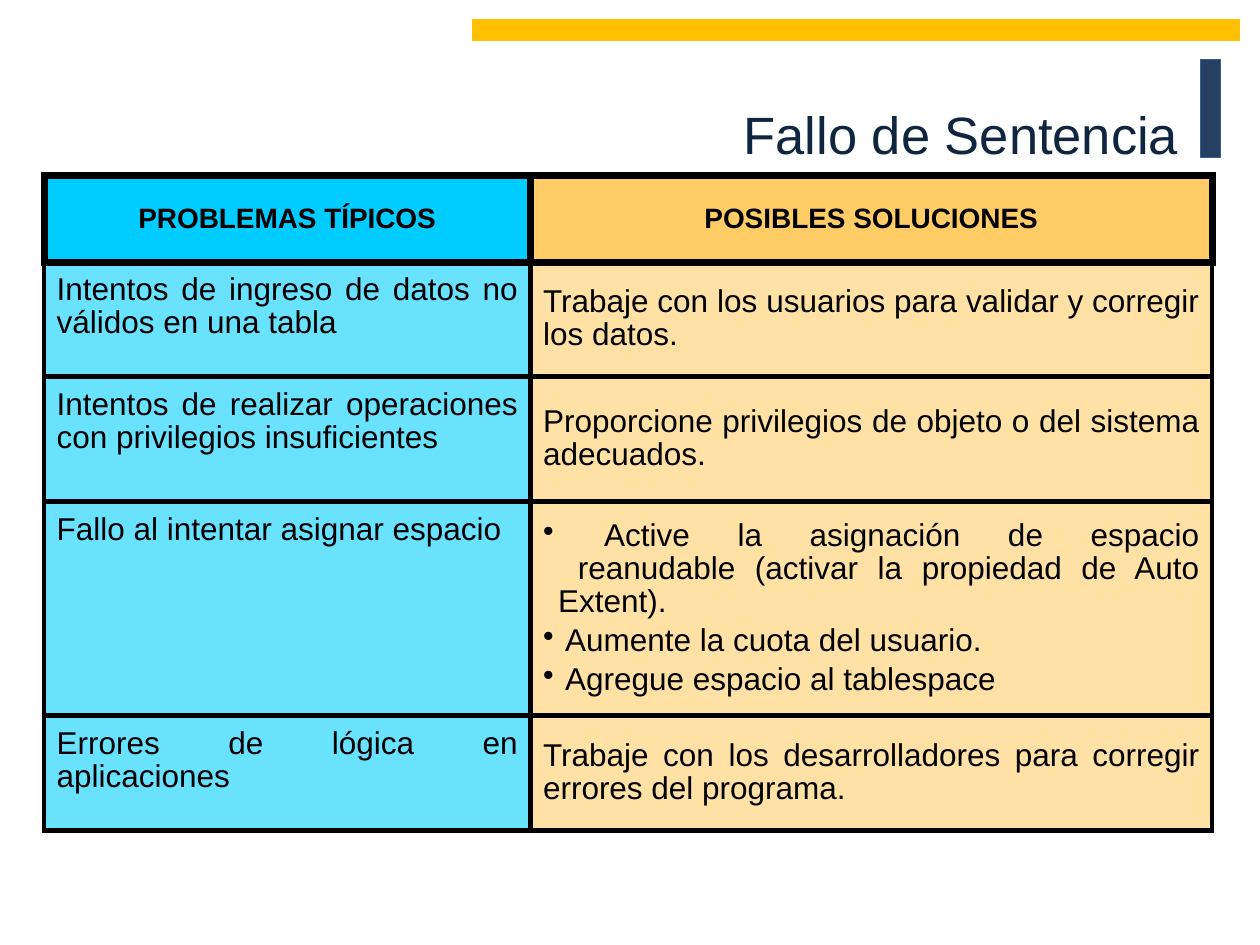
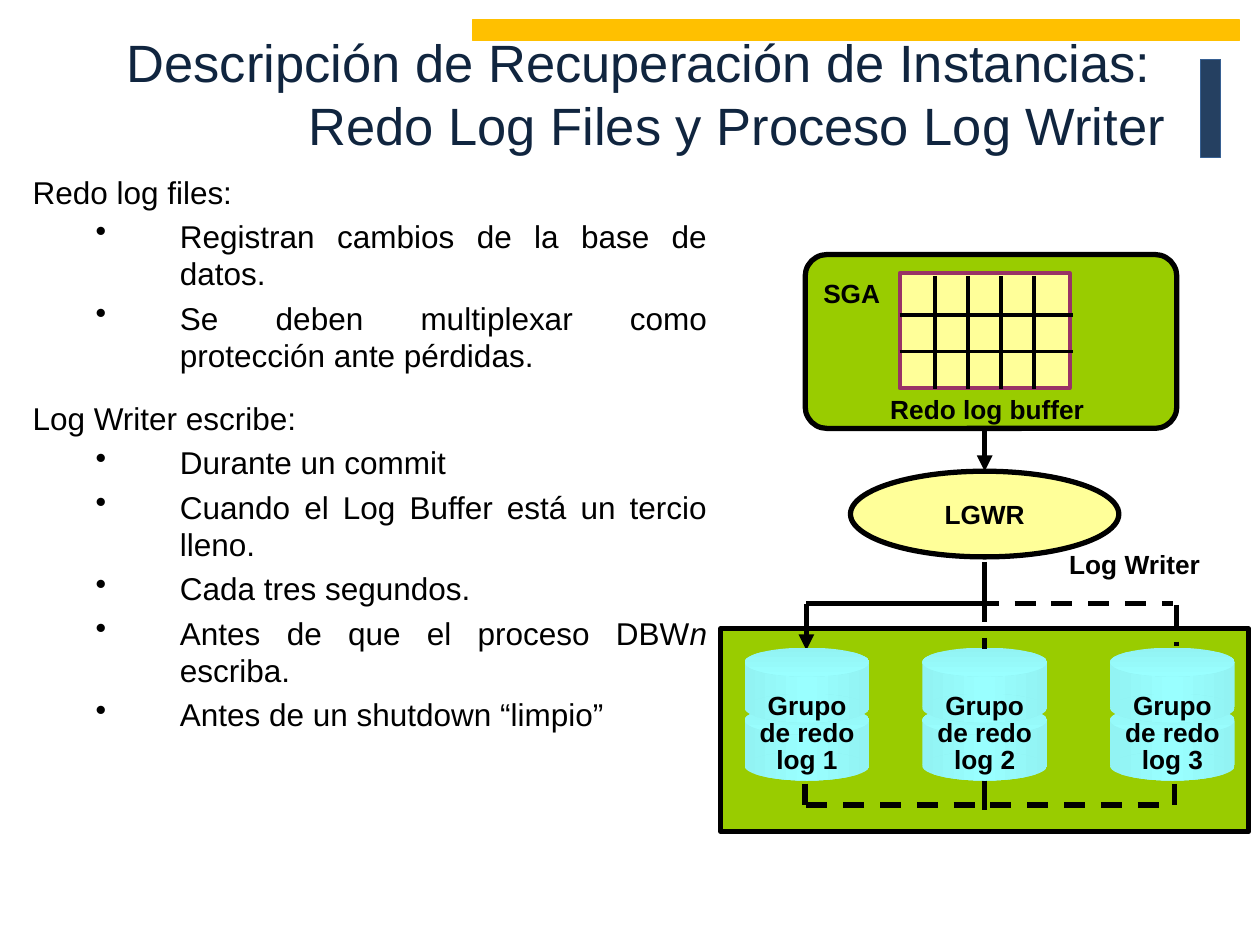
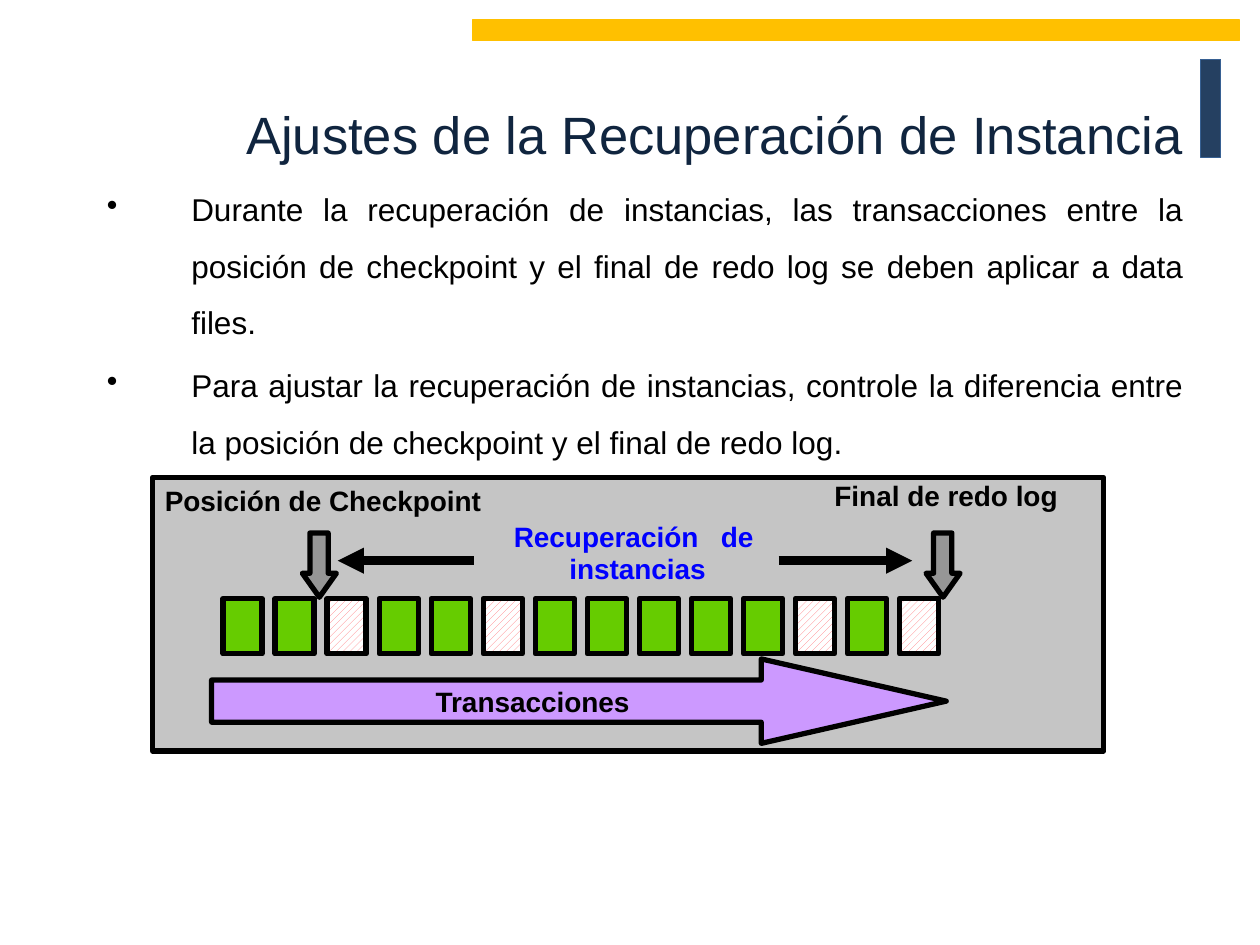
import copy
from dataclasses import dataclass
from typing import Any, NamedTuple

import lxml.etree
import pptx
import pptx.dml.color
import pptx.dml.line
import pptx.enum.dml
import pptx.enum.shapes
import pptx.enum.text
import pptx.oxml.ns
import pptx.shapes.autoshape
import pptx.shapes.connector
import pptx.shapes.shapetree
import pptx.slide
import pptx.text.text
import pptx.util

RGB = pptx.dml.color.RGBColor
Shape = pptx.shapes.autoshape.Shape
Link = pptx.shapes.connector.Connector
Tree = pptx.shapes.shapetree._BaseGroupShapes
Frame = pptx.text.text.TextFrame
Pt = pptx.util.Pt
qn = pptx.oxml.ns.qn
KIND = pptx.enum.shapes.MSO_SHAPE
ALIGN = pptx.enum.text.PP_ALIGN
ANCHOR = pptx.enum.text.MSO_ANCHOR
FIT = pptx.enum.text.MSO_AUTO_SIZE

BLACK = RGB(0x00, 0x00, 0x00)
WHITE = RGB(0xFF, 0xFF, 0xFF)
INK = RGB(0x10, 0x25, 0x3F)
NAVY = RGB(0x25, 0x40, 0x61)
STEEL = RGB(0x37, 0x60, 0x92)
AMBER = RGB(0xFF, 0xC0, 0x00)
CYAN = RGB(0x00, 0xCC, 0xFF)
SKY = RGB(0x69, 0xE2, 0xFF)
PEACH = RGB(0xFF, 0xCC, 0x66)
SAND = RGB(0xFF, 0xE1, 0xA5)
OLIVE = RGB(0x99, 0xCC, 0x00)
LEMON = RGB(0xFF, 0xFF, 0x99)
PLUM = RGB(0x99, 0x33, 0x66)
AQUA = RGB(0x99, 0xFF, 0xFF)
TEAL = RGB(0x92, 0xF3, 0xF3)
SILVER = RGB(0xC5, 0xC5, 0xC5)
GRAY = RGB(0x96, 0x96, 0x96)
GREEN = RGB(0x66, 0xCC, 0x00)
ROSE = RGB(0xFF, 0x7C, 0x80)
LILAC = RGB(0xCC, 0x99, 0xFF)
BLUE = RGB(0x00, 0x00, 0xFF)

FONT = "Arial"
COLS, ROWS = 100, 75
WIDTH, HEIGHT = pptx.util.Inches(10), pptx.util.Inches(7.5)
SIDES = ("margin_left", "margin_top", "margin_right", "margin_bottom")


class Box(NamedTuple):
    """Place and size in grid columns and rows."""
    col: float
    row: float
    cols: float
    rows: float


class Look(NamedTuple):
    size: float
    color: RGB = BLACK
    bold: bool = False


@dataclass(frozen=True)
class Para:
    """A paragraph; every second run is italic."""
    runs: tuple[str, ...]
    align: Any = ALIGN.JUSTIFY
    lead: float | None = None
    gap: float = 0.2
    left: float = 0
    hang: float = 0
    bullet: bool = False


TITLE = Look(30, INK)
BODY = Look(18)
HEAD = Look(16, bold=True)
LABEL = Look(15, bold=True)


def x_at(col: float) -> int:
    return round(WIDTH * col / COLS)


def y_at(row: float) -> int:
    return round(HEIGHT * row / ROWS)


def emu(box: Box) -> tuple[int, int, int, int]:
    return x_at(box.col), y_at(box.row), x_at(box.cols), y_at(box.rows)


def apply(item: Any, form: dict[str, Any]) -> None:
    for name, value in form.items():
        setattr(item, name, value)


def pad(across: float, down: float) -> dict[str, int]:
    return dict(zip(SIDES, (x_at(across), y_at(down)) * 2))


def write(frame: Frame, paras: list[Para], look: Look) -> None:
    for index, para in enumerate(paras):
        item = frame.add_paragraph() if index else frame.paragraphs[0]
        apply(item, {"alignment": para.align, "line_spacing": para.lead,
                     "space_before": Pt(look.size * para.gap if index else 0)})
        props = item._p.get_or_add_pPr()
        if para.hang:
            props.set("marL", str(x_at(para.left)))
            props.set("indent", str(-x_at(para.hang)))
        if para.bullet:
            lxml.etree.SubElement(props, qn("a:buChar"), char="•")
        for place, text in enumerate(para.runs):
            for row, line in enumerate(text.split("\n")):
                if row:
                    item.add_line_break()
                run = item.add_run()
                run.text = line
                apply(run.font, {"name": FONT, "size": Pt(look.size),
                                 "bold": look.bold, "italic": place % 2 == 1})
                run.font.color.rgb = look.color
        for gap in item._p.findall(qn("a:br")):
            gap.append(copy.deepcopy(run._r.rPr))


def note(tree: Tree, box: Box, paras: list[Para], look: Look, **form: Any) -> None:
    frame = tree.add_textbox(*emu(box)).text_frame
    apply(frame, {"word_wrap": True, "auto_size": FIT.NONE} | form)
    write(frame, paras, look)


def paint(shape: Shape, fill: RGB | None, edge: RGB | None, width: float) -> None:
    shape.shadow.inherit = False
    if fill is not None:
        shape.fill.solid()
        shape.fill.fore_color.rgb = fill
    if edge is None:
        shape.line.fill.background()
    else:
        shape.line.color.rgb = edge
        shape.line.width = Pt(width)


def draw(tree: Tree, box: Box, fill: RGB | None, edge: RGB | None = BLACK,
         width: float = 3, kind: Any = KIND.RECTANGLE) -> Shape:
    shape = tree.add_shape(kind, *emu(box))
    paint(shape, fill, edge, width)
    return shape


def blend(shape: Shape, tones: list[RGB], angle: float) -> None:
    """Fill with evenly spaced tones along a clockwise angle."""
    shape.fill.gradient()
    shape.fill.gradient_angle = (360 - angle) % 360
    stops = shape.element.find(".//" + qn("a:gsLst"))
    for stop in list(stops):
        stops.remove(stop)
    for index, tone in enumerate(tones):
        spot = 100000 * index // (len(tones) - 1)
        stop = lxml.etree.SubElement(stops, qn("a:gs"), pos=str(spot))
        lxml.etree.SubElement(stop, qn("a:srgbClr"), val=str(tone))


def link(tree: Tree, start: tuple[float, float], end: tuple[float, float],
         width: float = 3, dash: bool = False, arrow: bool = False,
         goal: Shape | None = None) -> Link:
    line = tree.add_connector(
        pptx.enum.shapes.MSO_CONNECTOR.STRAIGHT,
        x_at(start[0]), y_at(start[1]), x_at(end[0]), y_at(end[1]))
    if goal is not None:
        line.end_connect(goal, 0)
    line.line.color.rgb = BLACK
    line.line.width = Pt(width)
    if dash:
        line.line.dash_style = pptx.enum.dml.MSO_LINE.DASH
    if arrow:
        lxml.etree.SubElement(line.line._get_or_add_ln(), qn("a:tailEnd"),
                              type="triangle")
    lxml.etree.SubElement(line.element.spPr, qn("a:effectLst"))
    return line


def start(deck: Any, box: Box, text: str) -> pptx.slide.Slide:
    slide = deck.slides.add_slide(deck.slide_layouts[5])
    title = slide.shapes.title
    apply(title, dict(zip(("left", "top", "width", "height"), emu(box))))
    apply(title.text_frame, {"vertical_anchor": ANCHOR.MIDDLE, "word_wrap": True,
                             "auto_size": FIT.NONE})
    write(title.text_frame, [Para((text,), ALIGN.RIGHT)], TITLE)
    return slide


def add_bands(deck: Any, slide: pptx.slide.Slide) -> None:
    """Put the two bands on the shared layout."""
    base = deck.slide_layouts[5].shapes.element
    for box, fill, edge in ((Box(95.3, 4.7, 1.6, 7.8), NAVY, STEEL),
                            (Box(37.5, 1.6, 60.9, 1.6), AMBER, AMBER)):
        base.append(draw(slide.shapes, box, fill, edge, 0.75).element)


def rim(cell: Any, widths: dict[str, float]) -> None:
    """Border a cell; widths run in the order L, R, T, B."""
    props = cell._tc.get_or_add_tcPr()
    for index, (side, width) in enumerate(widths.items()):
        line = lxml.etree.Element(qn(f"a:ln{side}"), w=str(Pt(width)))
        fill = lxml.etree.SubElement(line, qn("a:solidFill"))
        lxml.etree.SubElement(fill, qn("a:srgbClr"), val=str(BLACK))
        props.insert(index, line)


def faults(deck: Any) -> None:
    slide = start(deck, Box(9.1, 2.6, 86.6, 16), "Fallo de Sentencia ")
    add_bands(deck, slide)
    rows = [
        (6.9, "PROBLEMAS TÍPICOS", ["POSIBLES SOLUCIONES"]),
        (9.1, "Intentos de ingreso de datos no válidos en una tabla",
         ["Trabaje con los usuarios para validar y corregir los datos."]),
        (9.9, "Intentos de realizar operaciones con privilegios insuficientes",
         ["Proporcione privilegios de objeto o del sistema adecuados."]),
        (17, "Fallo al intentar asignar espacio",
         [" Active la asignación de espacio\n reanudable (activar la propiedad"
          " de Auto Extent).",
          " Aumente la cuota del usuario.",
          " Agregue espacio al tablespace"]),
        (9.1, "Errores de lógica en aplicaciones",
         ["Trabaje con los desarrolladores para corregir errores del programa."]),
    ]
    table = slide.shapes.add_table(
        len(rows), 2, *emu(Box(3.5, 13.9, 92.7, 52))).table
    apply(table, {"first_row": False, "horz_banding": False})
    for column, cols in zip(table.columns, (38.6, 54.1)):
        column.width = x_at(cols)
    for index, (height, issue, fixes) in enumerate(rows):
        table.rows[index].height = y_at(height)
        head = index == 0
        tones = (CYAN, PEACH) if head else (SKY, SAND)
        for side, (texts, tone) in enumerate(zip(([issue], fixes), tones)):
            cell = table.cell(index, side)
            apply(cell, pad(1, 0.5 if head else 1))
            cell.vertical_anchor = ANCHOR.MIDDLE if head or side else ANCHOR.TOP
            many = len(texts) > 1
            hang = 1.2 if many else 0
            write(cell.text_frame,
                  [Para((text,), ALIGN.CENTER if head else ALIGN.JUSTIFY,
                        lead=None if head else 0.93, left=hang, hang=hang,
                        bullet=many) for text in texts],
                  HEAD if head else BODY)
            cell.fill.solid()
            cell.fill.fore_color.rgb = tone
            edge = 4.5 if head else 3
            rim(cell, {"L": edge, "R": edge, "T": 4.5 if index < 2 else 3, "B": edge})


def add_disks(tree: Tree, col: float, name: str) -> None:
    """Stack two cylinders and label them."""
    group = tree.add_group_shape().shapes
    for row in (56, 51.4):
        for kind, drop, rows, tones, angle in (
                (KIND.RECTANGLE, 1.2, 3.5, [TEAL, AQUA, TEAL], 0),
                (KIND.OVAL, 0, 2.3, [TEAL, AQUA], 90),
                (KIND.OVAL, 3.65, 2.3, [TEAL, AQUA, TEAL], 0)):
            disk = draw(group, Box(col, row + drop, 9.9, rows), None, None, kind=kind)
            blend(disk, tones, angle)
    note(tree, Box(col - 1.4, 54.8, 12.7, 7.1),
         [Para((text,), ALIGN.CENTER, lead=0.85, gap=0)
          for text in ("Grupo", f"de redo\n{name}")], LABEL, **pad(0.6, 0.3))


def add_buffer(tree: Tree) -> None:
    group = tree.add_group_shape().shapes
    area = draw(group, Box(63.9, 20.2, 29.5, 13.8), OLIVE,
                kind=KIND.ROUNDED_RECTANGLE)
    area.adjustments[0] = 0.125
    draw(group, Box(71.4, 21.7, 13.5, 9.1), LEMON, PLUM, 2.25)
    for index in range(4):
        col = 74.2 + 2.63 * index
        link(group, (col, 21.9), (col, 30.9), 2.25)
    for row in (25, 27.9):
        link(group, (71.4, row), (85.2, row), 2.25)
    for box, text in ((Box(64.3, 21.5, 6.6, 3.5), "SGA"),
                      (Box(69.6, 30.7, 17.5, 3.5), "Redo log buffer")):
        note(group, box, [Para((text,), ALIGN.CENTER)], LABEL, word_wrap=False)


def writer(deck: Any) -> None:
    slide = start(deck, Box(5.3, 0.3, 88.2, 14.2),
                  "Descripción de Recuperación de Instancias: \n"
                  "Redo Log Files y Proceso Log Writer")
    tree = slide.shapes
    parts = {
        "Redo log files:": [
            ("Registran cambios de la base de datos.",),
            ("Se deben multiplexar como protección ante pérdidas.",)],
        "Log Writer escribe:": [
            ("Durante un commit",),
            ("Cuando el Log Buffer está un tercio lleno.",),
            ("Cada tres segundos.",),
            ("Antes de que el proceso DBW", "n ", "escriba."),
            ("Antes de un shutdown “limpio”",)],
    }
    paras = []
    for head, points in parts.items():
        paras.append(Para((head,), lead=1.5))
        paras += [Para(runs, left=11.7, hang=6.7, bullet=True) for runs in points]
    note(tree, Box(1.6, 11.7, 55.5, 54.8), paras, BODY)

    draw(tree, Box(57.2, 49.9, 41.9, 16.1), OLIVE)
    axis = 78.15
    for col, top, low in ((93.2, 62.2, 63.9), (63.9, 62.2, 63.9), (axis, 61.8, 64.3)):
        link(tree, (col, top), (col, low))
    link(tree, (64, 47.9), (77.6, 47.9))
    link(tree, (64, 63.9), (93.1, 63.9), dash=True)
    link(tree, (77.6, 47.9), (93.1, 47.9), dash=True)
    link(tree, (64, 47.9), (64, 51.6), arrow=True)
    link(tree, (93.4, 48), (93.4, 51.3), dash=True)
    for col, name in ((59.1, "log 1"), (88.1, "log 3"), (73.2, "log 2")):
        add_disks(tree, col, name)
    link(tree, (axis, 47.7), (axis, 51.5), dash=True)
    add_buffer(tree)
    link(tree, (axis, 44.6), (axis, 47.9))
    note(tree, Box(81.2, 43, 17.7, 3.5), [Para(("Log Writer",), ALIGN.CENTER)], LABEL)
    oval = draw(tree, Box(67.5, 37.4, 21.3, 6.8), LEMON, kind=KIND.OVAL)
    apply(oval.text_frame, {"word_wrap": False, "vertical_anchor": ANCHOR.MIDDLE})
    write(oval.text_frame, [Para(("LGWR",), ALIGN.CENTER)], LABEL)
    link(tree, (axis, 33.9), (axis, 37.2), arrow=True, goal=oval)


def add_marker(tree: Tree, col: float) -> None:
    """Draw an arrow pointing down at the row of transactions."""
    turns = [(1.35, 5.1), (2.7, 3.2), (2.05, 3.2), (2.05, 0),
             (0.6, 0), (0.6, 3.2), (0, 3.2)]
    points = [(x_at(col + right), y_at(42.3 + down)) for right, down in turns]
    pen = tree.build_freeform(*points[0], scale=1.0)
    pen.add_line_segments(points[1:], close=True)
    paint(pen.convert_to_shape(), GRAY, BLACK, 3)


def tuning(deck: Any) -> None:
    slide = start(deck, Box(6.7, 2.6, 88.2, 16),
                  "Ajustes de la Recuperación de Instancia")
    tree = slide.shapes
    points = (
        "Durante la recuperación de instancias, las transacciones entre la posición"
        " de checkpoint y el final de redo log se deben aplicar a data files.",
        "Para ajustar la recuperación de instancias, controle la diferencia entre la"
        " posición de checkpoint y el final de redo log.")
    note(tree, Box(7.5, 13.1, 87.4, 26.3),
         [Para((text,), lead=1.5, left=6.7, hang=6.7, bullet=True)
          for text in points], BODY)

    draw(tree, Box(12.1, 37.9, 75.5, 21.7), SILVER)
    striped = {2, 5, 11, 13}
    for index in range(14):
        block = draw(tree, Box(17.7 + 4.13 * index, 47.5, 3.1, 4.4), GREEN)
        if index in striped:
            block.fill.patterned()
            block.fill.pattern = pptx.enum.dml.MSO_PATTERN.WIDE_UPWARD_DIAGONAL
            block.fill.fore_color.rgb = ROSE
            block.fill.back_color.rgb = WHITE
    for col in (24, 73.5):
        add_marker(tree, col)
    note(tree, Box(62.6, 37.7, 25, 3.6),
         [Para(("Final de redo log",), ALIGN.CENTER, 0.95, left=4.4, hang=4.4)], HEAD)
    note(tree, Box(12.1, 37.9, 27.4, 3.7),
         [Para(("Posición de Checkpoint",), ALIGN.LEFT)], HEAD, word_wrap=False)
    arrow = draw(tree, Box(16.8, 52.3, 58.3, 6.7), LILAC, kind=KIND.RIGHT_ARROW)
    arrow.adjustments[0], arrow.adjustments[1] = 0.5, 2.19
    apply(arrow.text_frame, {"word_wrap": False, "vertical_anchor": ANCHOR.MIDDLE})
    write(arrow.text_frame, [Para(("Transacciones",), ALIGN.CENTER)], HEAD)
    for near, far in ((37.6, 26.8), (61.8, 72.4)):
        link(tree, (near, 44.5), (far, 44.5), 5, arrow=True)
    note(tree, Box(39.8, 40.9, 21, 6.1),
         [Para(("Recuperación de instancias",), lead=0.95, left=4.4, hang=4.4)],
         Look(16, BLUE, True))


def main() -> None:
    deck = pptx.Presentation()
    apply(deck, {"slide_width": WIDTH, "slide_height": HEIGHT})
    for build in (faults, writer, tuning):
        build(deck)
    deck.save("out.pptx")


if __name__ == "__main__":
    main()
